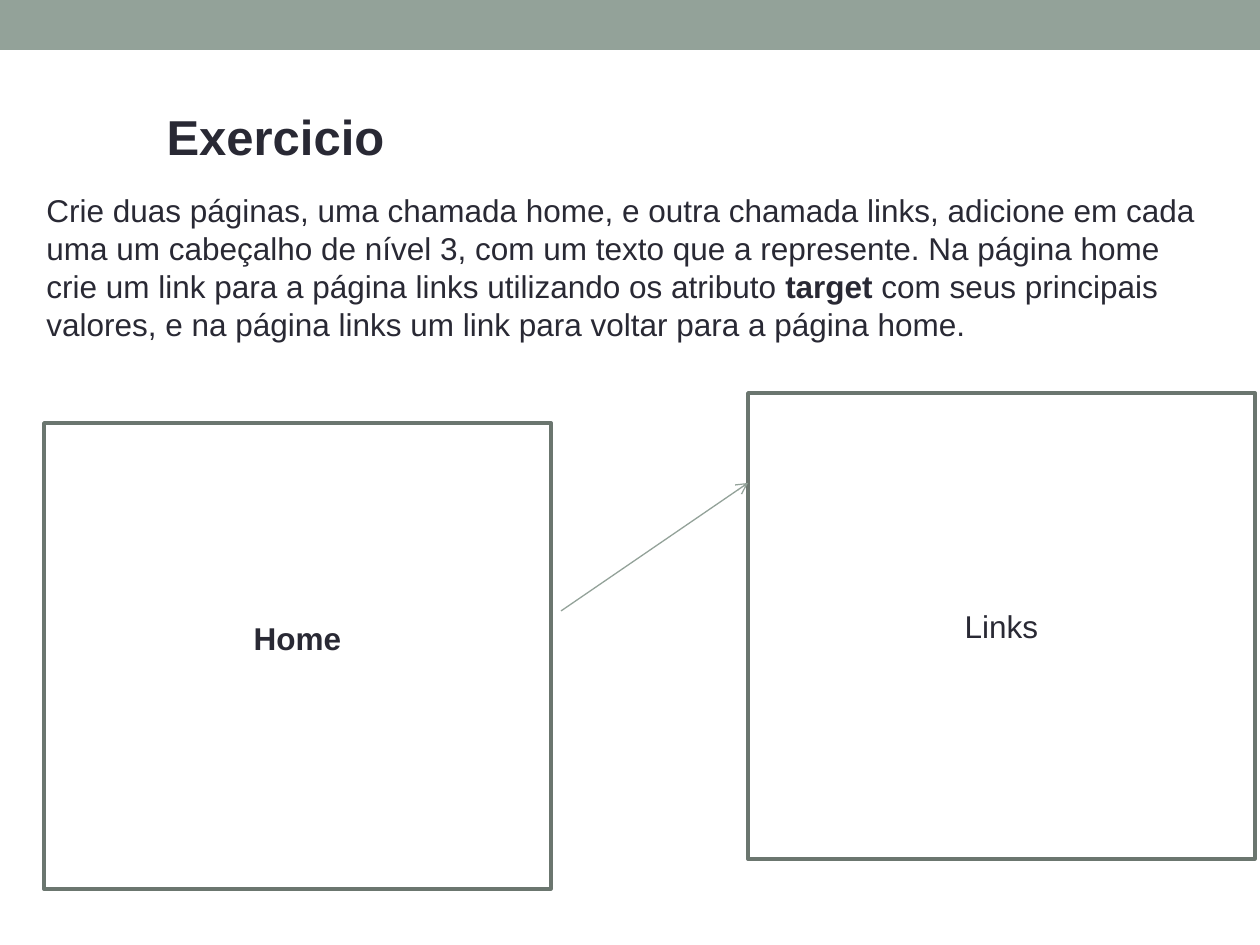
from dataclasses import dataclass
from lxml.etree import SubElement
from pptx import Presentation
from pptx.dml.color import RGBColor as RGB
from pptx.enum.shapes import MSO_CONNECTOR as CONN, MSO_SHAPE as SHAPE
from pptx.enum.text import MSO_ANCHOR as ANCHOR, MSO_AUTO_SIZE as FIT, PP_ALIGN as ALIGN
from pptx.oxml.ns import qn
from pptx.util import Pt


@dataclass(frozen=True)
class Theme:
    font: str = "Arial"
    ink: RGB = RGB(0x29, 0x29, 0x34)
    accent: RGB = RGB(0x93, 0xA2, 0x99)
    border: RGB = RGB(0x6B, 0x76, 0x6F)
    title: int = 28
    body: int = 18
    leading: float = 21.7
    thin: float = 0.75
    thick: float = 2.07


def px(n):
    return n * 914400 // 126


class Deck:
    """Draws styled elements on the current slide, in px."""

    def __init__(self, theme):
        self.theme = theme
        self.prs = Presentation()
        self.prs.slide_width, self.prs.slide_height = px(1260), px(945)
        self.s = self.prs.slides.add_slide(self.prs.slide_layouts[5])

    def add_runs(self, tf, runs, size, align=ALIGN.LEFT, anchor=ANCHOR.MIDDLE):
        tf.word_wrap, tf.auto_size, tf.vertical_anchor = True, FIT.NONE, anchor
        p = tf.paragraphs[0]
        p.alignment = align
        for text, bold in runs:
            r = p.add_run()
            r.text = text
            r.font.name, r.font.size, r.font.bold = self.theme.font, Pt(size), bold
            r.font.color.rgb = self.theme.ink
        return p

    def title(self, text, *box):
        sp = self.s.shapes.title
        sp.left, sp.top, sp.width, sp.height = map(px, box)
        self.add_runs(sp.text_frame, [(text, True)], self.theme.title)

    def text(self, runs, *box):
        sp = self.s.shapes.add_textbox(*map(px, box))
        p = self.add_runs(sp.text_frame, runs, self.theme.body, anchor=ANCHOR.TOP)
        p.line_spacing = Pt(self.theme.leading)

    def rect(self, *box):
        sp = self.s.shapes.add_shape(SHAPE.RECTANGLE, *map(px, box))
        sp.shadow.inherit = False
        return sp

    def band(self, *box):
        sp = self.rect(*box)
        sp.fill.solid()
        sp.fill.fore_color.rgb = self.theme.accent
        sp.line.fill.background()

    def page(self, label, bold, *box, bottom=6):
        sp = self.rect(*box)
        sp.fill.background()
        sp.line.color.rgb, sp.line.width = self.theme.border, Pt(self.theme.thick)
        sp.text_frame.margin_bottom = px(bottom)
        self.add_runs(sp.text_frame, [(label, bold)], self.theme.body, ALIGN.CENTER)

    def arrow(self, *ends):
        cx = self.s.shapes.add_connector(CONN.STRAIGHT, *map(px, ends))
        cx.line.color.rgb, cx.line.width = self.theme.accent, Pt(self.theme.thin)
        sp_pr = cx._element.spPr
        SubElement(sp_pr.find(qn("a:ln")), qn("a:tailEnd"), type="arrow")
        SubElement(sp_pr, qn("a:effectLst"))


def main():
    deck = Deck(Theme())
    deck.band(0, 0, 1260, 50)
    deck.title("Exercicio", 154, 101, 655, 70)
    deck.text([
        ("Crie duas páginas, uma chamada home, e outra chamada links, adicione em cada "
         "uma um cabeçalho de nível 3, com um texto que a represente. Na página home "
         "crie um link para a página links utilizando os atributo ", False),
        ("target", True),
        (" com seus principais valores, e na página links um link para voltar "
         "para a página home.", False),
    ], 34, 185, 1191, 164)
    page_w, page_h = 507, 466
    deck.page("Home", True, 44, 423, page_w, page_h, bottom=42)
    deck.page("Links", False, 748, 393, page_w, page_h)
    deck.arrow(561, 611, 748, 483)
    deck.prs.save("out.pptx")


if __name__ == "__main__":
    main()
